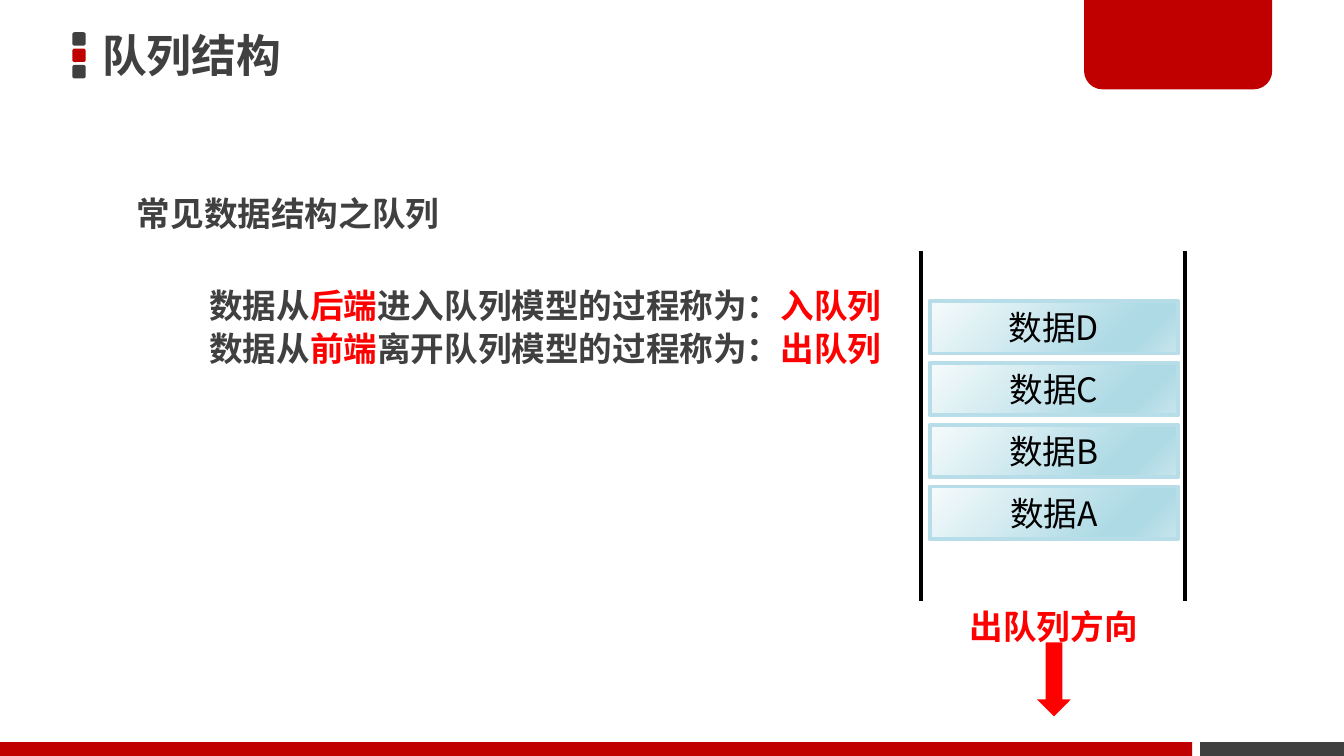
import dataclasses
import typing

import lxml.etree
import pptx
import pptx.dml.color
import pptx.enum.dml
import pptx.enum.shapes
import pptx.enum.text
import pptx.oxml.ns
import pptx.util

RGBColor = pptx.dml.color.RGBColor
Shapes = pptx.enum.shapes.MSO_SHAPE
Align = pptx.enum.text.PP_ALIGN
Anchor = pptx.enum.text.MSO_ANCHOR
qn = pptx.oxml.ns.qn

GRAY = RGBColor(0x40, 0x40, 0x40)
DARK_RED = RGBColor(0xC0, 0x00, 0x00)
RED = RGBColor(0xFF, 0x00, 0x00)
BLACK = RGBColor(0x00, 0x00, 0x00)
BORDER_BLUE = RGBColor(0xB7, 0xDE, 0xE8)
BOX_GRADIENT = (
    (0, RGBColor(0xF6, 0xFB, 0xFC)),
    (74, RGBColor(0xAE, 0xDA, 0xE5)),
    (83, RGBColor(0xAE, 0xDA, 0xE5)),
    (100, RGBColor(0xC9, 0xE6, 0xEE)),
)
BODY_FONT = "Noto Sans CJK SC"
BOX_FONT = "Noto Sans CJK JP"

# The grid has 100 columns and 56.25 rows of square cells
CELL = pptx.util.Inches(0.1)
COLUMNS, ROWS = 100, 56.25


def cells(count: float) -> pptx.util.Emu:
    return pptx.util.Emu(round(count * CELL))


@dataclasses.dataclass(frozen=True)
class Area:
    column: float
    row: float
    width: float
    height: float

    def lengths(self) -> list:
        return [cells(value) for value in dataclasses.astuple(self)]


@dataclasses.dataclass(frozen=True)
class Run:
    text: str
    color: RGBColor = GRAY
    size: int = 18
    font: str = BODY_FONT
    bold: bool = True


@dataclasses.dataclass(frozen=True)
class Label:
    area: Area
    runs: typing.Tuple[Run, ...]
    alignment: typing.Any = Align.LEFT


def apply_format(target: typing.Any, values: dict) -> None:
    for name, value in values.items():
        setattr(target, name, value)


def add_runs(paragraph: typing.Any, runs: typing.Iterable[Run]) -> None:
    for item in runs:
        run = paragraph.add_run()
        run.text = item.text
        apply_format(run.font, {
            "name": item.font, "size": pptx.util.Pt(item.size), "bold": item.bold,
        })
        run.font.color.rgb = item.color
        east_asian = lxml.etree.Element(qn("a:ea"), typeface=item.font)
        run.font._element.find(qn("a:latin")).addnext(east_asian)


def add_block(slide: typing.Any, kind: typing.Any, area: Area, color: RGBColor) -> typing.Any:
    shape = slide.shapes.add_shape(kind, *area.lengths())
    shape.shadow.inherit = False
    shape.fill.solid()
    shape.fill.fore_color.rgb = color
    shape.line.fill.background()
    return shape


def add_label(slide: typing.Any, label: Label) -> None:
    frame = slide.shapes.add_textbox(*label.area.lengths()).text_frame
    apply_format(frame, {
        "word_wrap": True,
        "auto_size": pptx.enum.text.MSO_AUTO_SIZE.SHAPE_TO_FIT_TEXT,
    })
    paragraph = frame.paragraphs[0]
    apply_format(paragraph, {"alignment": label.alignment, "line_spacing": 1.5})
    add_runs(paragraph, label.runs)


def add_wall(slide: typing.Any, column: float, top: float, bottom: float) -> None:
    wall = slide.shapes.add_connector(
        pptx.enum.shapes.MSO_CONNECTOR.STRAIGHT,
        cells(column), cells(top), cells(column), cells(bottom))
    wall.line.color.rgb = BLACK
    wall.line.width = pptx.util.Pt(2)
    lxml.etree.SubElement(wall._element.spPr, qn("a:effectLst"))


def add_data_box(slide: typing.Any, area: Area, text: str) -> None:
    shape = add_block(slide, Shapes.RECTANGLE, area, BORDER_BLUE)
    shape.fill.gradient()
    shape.fill.gradient_angle = 315
    stops = shape._element.spPr.find(".//" + qn("a:gsLst"))
    for stop in list(stops):
        stops.remove(stop)
    for percent, color in BOX_GRADIENT:
        stop = lxml.etree.SubElement(stops, qn("a:gs"), pos=str(percent * 1000))
        lxml.etree.SubElement(stop, qn("a:srgbClr"), val=str(color))
    shape.line.color.rgb = BORDER_BLUE
    shape.line.width = pptx.util.Pt(2)
    shape.text_frame.vertical_anchor = Anchor.MIDDLE
    paragraph = shape.text_frame.paragraphs[0]
    paragraph.alignment = Align.CENTER
    add_runs(paragraph, [Run(text, BLACK, font=BOX_FONT, bold=False)])


def add_title(slide: typing.Any, area: Area, text: str) -> None:
    frame = slide.shapes.add_textbox(*area.lengths()).text_frame
    side, edge = cells(0.7), cells(0.4)
    apply_format(frame, {
        "word_wrap": True, "vertical_anchor": Anchor.MIDDLE,
        "margin_left": side, "margin_right": side,
        "margin_top": edge, "margin_bottom": edge,
    })
    add_runs(frame.paragraphs[0], [Run(text, size=24, font=BOX_FONT)])


def rule_label(row: float, end: str, action: str, name: str) -> Label:
    return Label(Area(14.6, row, 53, 5.6), (
        Run("数据从"), Run(end, RED),
        Run(f"{action}队列模型的过程称为："), Run(name, RED)))


LABELS = (
    Label(Area(9.2, 12.4, 38.4, 5.6), (Run("常见数据结构之队列"),)),
    rule_label(19.2, "后端", "进入", "入队列"),
    rule_label(22.4, "前端", "离开", "出队列"),
    Label(Area(70.95, 43.1, 14.9, 5.6), (Run("出队列方向", RED),), Align.CENTER),
)


def main() -> None:
    presentation = pptx.Presentation()
    apply_format(presentation, {
        "slide_width": cells(COLUMNS), "slide_height": cells(ROWS),
    })
    slide = presentation.slides.add_slide(presentation.slide_layouts[6])

    # Title marker, corner tab and footer bars
    for index, color in enumerate((GRAY, DARK_RED, GRAY)):
        add_block(slide, Shapes.ROUNDED_RECTANGLE,
                  Area(5.38, 2.4 + 1.22 * index, 1, 1), color)
    tab = add_block(slide, Shapes.ROUND_2_SAME_RECTANGLE,
                    Area(80.66, -0.2, 14, 6.85), DARK_RED)
    tab.adjustments[0], tab.adjustments[1] = 0, 0.2
    add_block(slide, Shapes.RECTANGLE, Area(0, 55.22, 88.7, 1.03), DARK_RED)
    add_block(slide, Shapes.RECTANGLE, Area(89.3, 55.22, 10.7, 1.03), GRAY)

    # Exit arrow and explanations
    arrow = add_block(slide, Shapes.RIGHT_ARROW, Area(75.67, 49.3, 5.5, 2.5), RED)
    arrow.rotation = 90
    for label in LABELS:
        add_label(slide, label)

    # Queue walls and its data, from front to back
    for column in (68.5, 88.2):
        add_wall(slide, column, 18.7, 44.7)
    for index, letter in enumerate("ABCD"):
        add_data_box(slide, Area(69.17, 36.2 - 4.6 * index, 18.5, 3.9), f"数据{letter}")

    add_title(slide, Area(6.9, 1.95, 71.9, 4.2), "队列结构")
    presentation.save("out.pptx")


if __name__ == "__main__":
    main()
